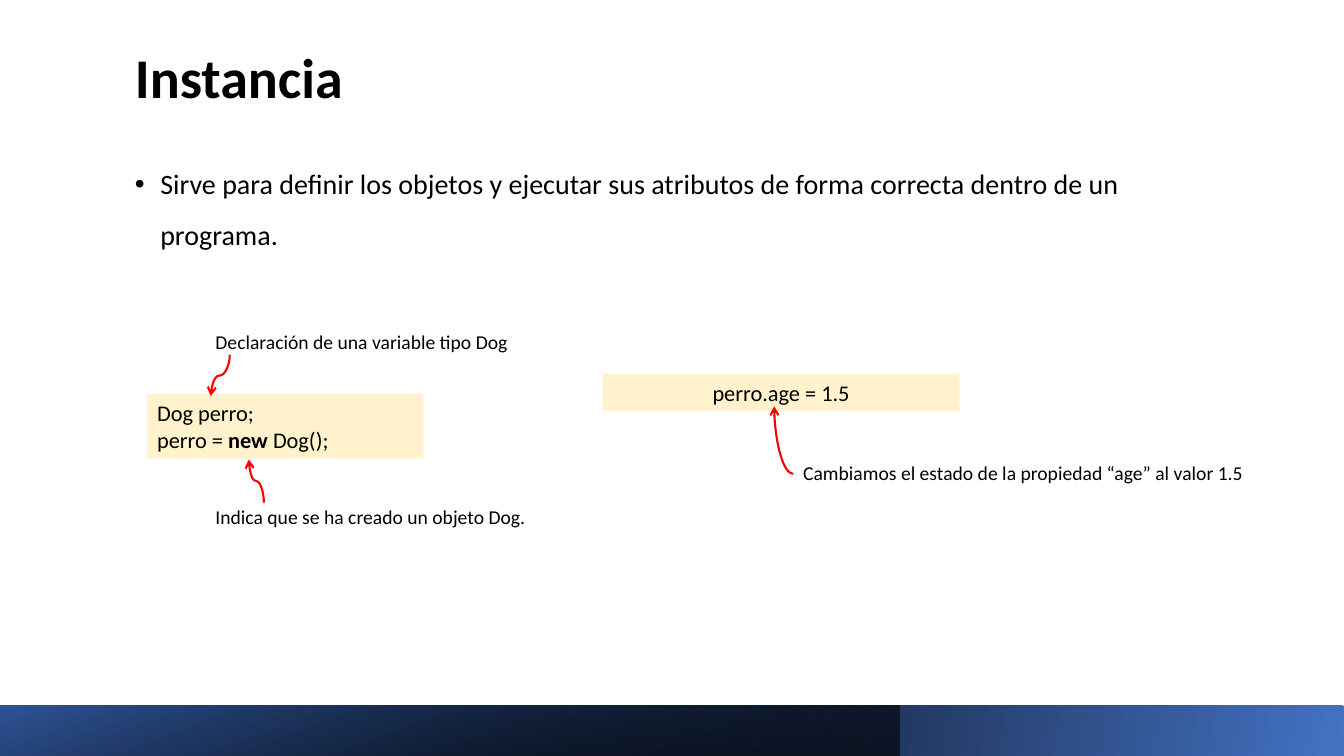
from dataclasses import dataclass
from math import cos, radians, sin

from lxml.etree import SubElement
from pptx import Presentation
from pptx.dml.color import RGBColor
from pptx.enum.shapes import MSO_CONNECTOR, MSO_SHAPE
from pptx.enum.text import MSO_ANCHOR, MSO_AUTO_SIZE, PP_ALIGN
from pptx.oxml.ns import qn
from pptx.shapes.autoshape import Shape
from pptx.slide import Slide
from pptx.text.text import TextFrame, _Paragraph as Paragraph
from pptx.util import Cm, Pt

COLORS = {
    "text": "000000",
    "code": "FFF2CC",
    "arrow": "FF0000",
    "blue": "4472C4",
    "black": "000000",
    "navy": "2F5597",
}
FONT = "Calibri"
SLIDE_WIDTH, SLIDE_HEIGHT = 33.87, 19.05
BAND_HEIGHT = 1.27
LABEL_WIDTH, LABEL_HEIGHT = 11.76, 1.32


@dataclass(frozen=True)
class Box:
    left: float
    top: float
    width: float
    height: float

    def lengths(self) -> tuple[Cm, Cm, Cm, Cm]:
        return Cm(self.left), Cm(self.top), Cm(self.width), Cm(self.height)


@dataclass(frozen=True)
class Run:
    text: str
    bold: bool = False


@dataclass(frozen=True)
class CodeBox:
    box: Box
    lines: list[list[Run]]
    alignment: PP_ALIGN = PP_ALIGN.LEFT


@dataclass(frozen=True)
class Label:
    left: float
    top: float
    text: str


@dataclass(frozen=True)
class Arrow:
    start: tuple[float, float]
    end: tuple[float, float]
    rotation: int
    preset: str = "curvedConnector3"


@dataclass(frozen=True)
class Band:
    width: float
    stops: list[tuple[str, float]]
    angle: int
    rotation: int = 0
    first_opacity: int = 100


BANDS = [
    Band(SLIDE_WIDTH, [("blue", 0), ("black", 0.66)], 170, rotation=180),
    Band(22.66, [("black", 0), ("navy", 1)], 290, first_opacity=63),
]
CODE_BOXES = [
    CodeBox(
        Box(3.71, 9.93, 6.96, 1.63),
        [[Run("Dog perro;")], [Run("perro = "), Run("new ", bold=True), Run("Dog();")]],
    ),
    CodeBox(Box(15.19, 9.42, 8.99, 0.94), [[Run("perro.age = 1.5")]], PP_ALIGN.CENTER),
]
LABELS = [
    Label(5.18, 12.4, "Indica que se ha creado un objeto Dog."),
    Label(5.18, 8, "Declaración de una variable tipo Dog"),
    Label(19.99, 11.28, "Cambiamos el estado de la propiedad “age” al valor 1.5"),
]
ARROWS = [
    Arrow((6.65, 12.67), (6.27, 11.58), 270),
    Arrow((5.79, 8.94), (5.31, 9.98), 90),
    Arrow((19.99, 11.94), (19.51, 10.24), 180, "curvedConnector2"),
]


def color(name: str) -> RGBColor:
    return RGBColor.from_string(COLORS[name])


def add_run(paragraph: Paragraph, run: Run, size: int) -> None:
    text_run = paragraph.add_run()
    text_run.text = run.text
    font = text_run.font
    font.name, font.size, font.bold = FONT, Pt(size), run.bold
    font.color.rgb = color("text")


def add_text(slide: Slide, box: Box, run: Run, size: int, anchor: MSO_ANCHOR,
             line_spacing: float) -> TextFrame:
    frame = slide.shapes.add_textbox(*box.lengths()).text_frame
    frame.word_wrap = True
    frame.vertical_anchor = anchor
    paragraph = frame.paragraphs[0]
    paragraph.line_spacing = line_spacing
    add_run(paragraph, run, size)
    return frame


def add_bullet(paragraph: Paragraph, indent: float) -> None:
    properties = paragraph._p.get_or_add_pPr()
    properties.set("marL", str(Cm(indent)))
    properties.set("indent", str(-Cm(indent)))
    SubElement(properties, qn("a:buFont"), typeface="Arial")
    SubElement(properties, qn("a:buChar"), char="•")


def add_rectangle(slide: Slide, box: Box) -> Shape:
    shape = slide.shapes.add_shape(MSO_SHAPE.RECTANGLE, *box.lengths())
    shape.shadow.inherit = False
    shape.line.fill.background()
    return shape


def add_band(slide: Slide, band: Band) -> None:
    """Draw a mirrored gradient strip along the foot of the slide."""
    box = Box(0, SLIDE_HEIGHT - BAND_HEIGHT, band.width, BAND_HEIGHT)
    shape = add_rectangle(slide, box)
    shape.rotation = band.rotation
    shape.element.spPr.find(qn("a:xfrm")).set("flipH", "1")
    shape.fill.gradient()
    shape.fill.gradient_angle = 360 - band.angle
    for stop, (name, position) in zip(shape.fill.gradient_stops, band.stops):
        stop.color.rgb = color(name)
        stop.position = position
    if band.first_opacity < 100:
        first_color = next(shape.element.spPr.iter(qn("a:srgbClr")))
        SubElement(first_color, qn("a:alpha"), val=str(band.first_opacity * 1000))


def add_code_box(slide: Slide, code: CodeBox) -> None:
    shape = add_rectangle(slide, code.box)
    shape.fill.solid()
    shape.fill.fore_color.rgb = color("code")
    frame = shape.text_frame
    frame.word_wrap = True
    frame.auto_size = MSO_AUTO_SIZE.SHAPE_TO_FIT_TEXT
    frame.vertical_anchor = MSO_ANCHOR.TOP
    for index, line in enumerate(code.lines):
        paragraph = frame.add_paragraph() if index else frame.paragraphs[0]
        paragraph.alignment = code.alignment
        for run in line:
            add_run(paragraph, run, 16)


def add_arrow(slide: Slide, arrow: Arrow) -> None:
    """Place the connector unrotated about its centre, then rotate it."""
    (x1, y1), (x2, y2) = arrow.start, arrow.end
    center_x, center_y = (x1 + x2) / 2, (y1 + y2) / 2
    cosine, sine = cos(radians(arrow.rotation)), sin(radians(arrow.rotation))
    dx = (x2 - x1) / 2 * cosine + (y2 - y1) / 2 * sine
    dy = (y2 - y1) / 2 * cosine - (x2 - x1) / 2 * sine
    connector = slide.shapes.add_connector(
        MSO_CONNECTOR.CURVE,
        Cm(center_x - dx), Cm(center_y - dy), Cm(center_x + dx), Cm(center_y + dy),
    )
    connector.line.color.rgb = color("arrow")
    connector.line.width = Pt(1.5)
    properties = connector.element.spPr
    properties.find(qn("a:xfrm")).set("rot", str(arrow.rotation * 60000))
    properties.find(qn("a:prstGeom")).set("prst", arrow.preset)
    SubElement(properties.find(qn("a:ln")), qn("a:tailEnd"), type="arrow")
    SubElement(properties, qn("a:effectLst"))


def main() -> None:
    presentation = Presentation()
    presentation.slide_width = Cm(SLIDE_WIDTH)
    presentation.slide_height = Cm(SLIDE_HEIGHT)
    slide = presentation.slides.add_slide(presentation.slide_layouts[6])
    add_text(slide, Box(3.15, 0.61, 16.15, 2.31), Run("Instancia", bold=True), 40,
             MSO_ANCHOR.BOTTOM, 0.9)
    for band in BANDS:
        add_band(slide, band)
    body = add_text(
        slide, Box(3.15, 3.66, 26.95, 3.3),
        Run("Sirve para definir los objetos y ejecutar sus atributos de forma correcta "
            "dentro de un programa."),
        20, MSO_ANCHOR.TOP, 1.5)
    add_bullet(body.paragraphs[0], 0.64)
    for code in CODE_BOXES:
        add_code_box(slide, code)
    for label in LABELS:
        add_text(slide, Box(label.left, label.top, LABEL_WIDTH, LABEL_HEIGHT),
                 Run(label.text), 14, MSO_ANCHOR.MIDDLE, 0.9)
    for arrow in ARROWS:
        add_arrow(slide, arrow)
    presentation.save("out.pptx")


if __name__ == "__main__":
    main()
